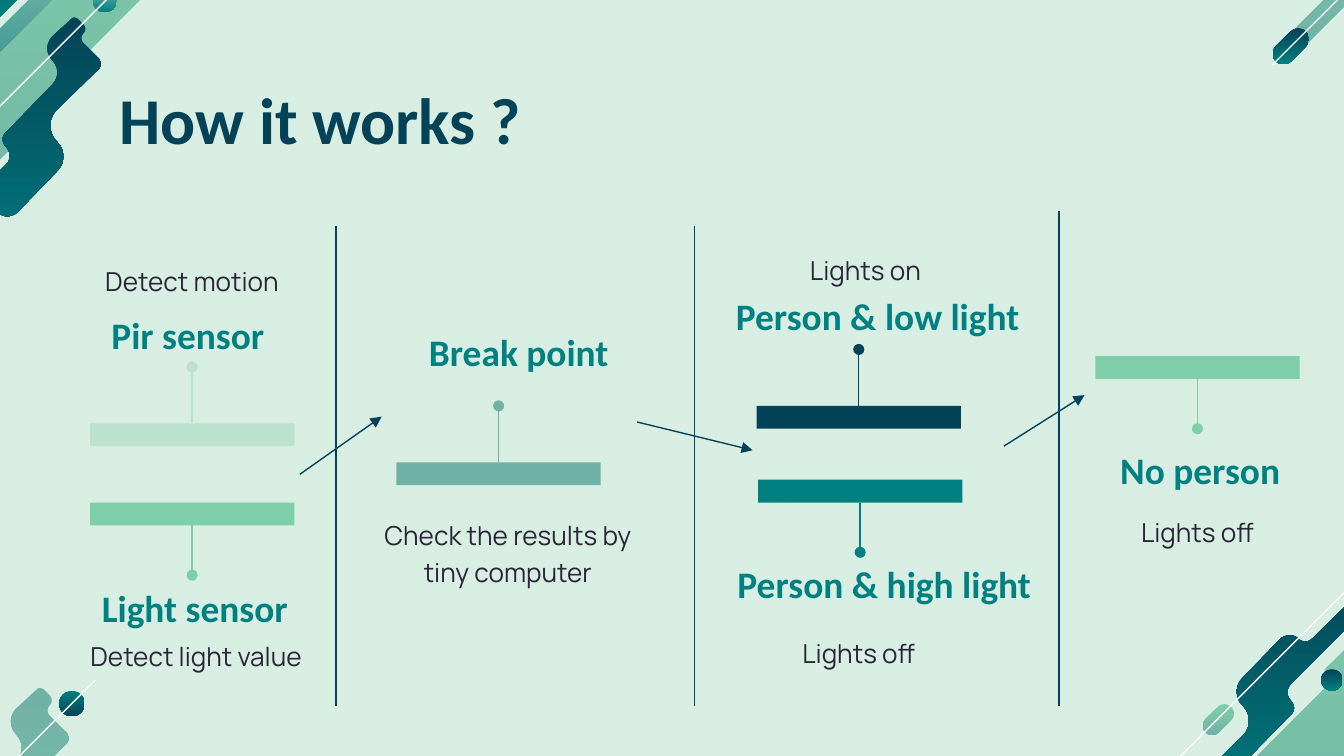
from math import cos, radians, sin

from lxml.etree import SubElement
from pptx import Presentation
from pptx.dml.color import RGBColor
from pptx.enum.shapes import MSO_CONNECTOR as Link, MSO_SHAPE as Shape
from pptx.enum.text import MSO_ANCHOR as Anchor, PP_ALIGN as Align
from pptx.oxml.ns import qn
from pptx.util import Inches, Pt

COLUMNS, ROWS = 100, 56.25  # square cells, a tenth of an inch
NAVY, TEAL, SAGE, MINT, PALE = "044257", "008080", "71B1A5", "7ECFA9", "BBE2CF"
DEEP, SOFT, MIDDLE = (NAVY, TEAL), (MINT, SAGE), (SAGE, TEAL)
BAR_WIDTH, BAR_HEIGHT = 15.2, 1.7

TITLE = {"size": Pt(35), "name": "Calibri", "bold": True, "color": NAVY}
HEADING = {"size": Pt(20), "name": "Calibri", "bold": True, "color": TEAL}
DETAIL = {"size": Pt(14), "name": "Manrope", "color": "292536"}

# Outlines: a pair is a corner, six numbers are a cubic curve
RIBBON = (159, 206), [
    (139, 0), (138, 0, 137, 1, 136, 2), (123, 14), (118, 19, 118, 27, 123, 32),
    (128, 37, 128, 45, 123, 50), (89, 85), (85, 88, 85, 93, 89, 97),
    (92, 100, 92, 106, 89, 109), (3, 195), (0, 198, 0, 202, 3, 204),
    (4, 206, 6, 206, 8, 206), (9, 206, 11, 206, 12, 204), (71, 146),
    (73, 144, 75, 143, 77, 143), (79, 143, 82, 144, 83, 146),
    (85, 147, 87, 148, 89, 148), (92, 148, 94, 147, 96, 146), (126, 115),
    (133, 109, 133, 98, 126, 92), (120, 86, 120, 75, 126, 69), (158, 38),
    (160, 36, 160, 33, 158, 31), (146, 19), (144, 17, 144, 14, 146, 12),
    (148, 10, 148, 7, 146, 5), (143, 2), (142, 1, 141, 0, 139, 0)]
BAND = (261, 293), [
    (53, 196), (56, 199, 56, 205, 53, 208), (28, 233), (25, 235, 25, 240, 28, 243),
    (31, 246, 31, 251, 28, 254), (3, 279), (0, 282, 0, 287, 3, 291),
    (6, 294, 12, 294, 15, 291), (55, 250), (58, 248, 63, 248, 65, 250),
    (68, 253, 73, 253, 75, 250), (147, 179), (149, 177, 149, 173, 147, 171),
    (145, 169, 145, 166, 147, 164), (218, 93), (220, 90, 220, 86, 218, 83),
    (215, 80, 215, 75, 218, 72), (236, 54), (238, 52, 238, 48, 236, 46),
    (233, 43, 233, 39, 236, 37), (258, 15), (261, 12, 261, 7, 258, 4),
    (254, 0, 249, 0, 246, 4), (150, 99), (149, 101, 146, 101, 144, 99),
    (142, 98, 139, 98, 137, 99), (53, 184), (49, 187, 49, 193, 53, 196)]


def cells(*counts):
    return [Inches(count / 10) for count in counts]


def colour(value):
    return RGBColor.from_string(value)


def paint(shape, *colours):
    """Fill with one colour, or blend two from top to bottom."""
    shape.shadow.inherit = False
    shape.line.fill.background()
    if len(colours) == 1:
        shape.fill.solid()
        shape.fill.fore_color.rgb = colour(colours[0])
        return
    shape.fill.gradient()
    shape.fill.gradient_angle = 270
    for stop, position, value in zip(shape.fill.gradient_stops, (0, 1), colours):
        stop.position = position
        stop.color.rgb = colour(value)


def add_outline(page, points, colours):
    corners = [tuple(cells(*point)) for point in points]
    builder = page.shapes.build_freeform(*corners[0], scale=1)
    builder.add_line_segments(corners[1:], close=True)
    paint(builder.convert_to_shape(), *colours)


def flatten(segments, steps=6):
    """Turn corners and cubic curves into a list of points."""
    points = []
    for segment in segments:
        if len(segment) == 2:
            points.append(segment)
            continue
        controls = [points[-1], segment[:2], segment[2:4], segment[4:]]
        for step in range(1, steps + 1):
            t = step / steps
            weights = ((1 - t) ** 3, 3 * t * (1 - t) ** 2, 3 * t * t * (1 - t), t ** 3)
            points.append(tuple(sum(w * c[axis] for w, c in zip(weights, controls))
                                for axis in (0, 1)))
    return points


def add_wave(page, outline, left, top, width, colours, turned=False):
    (full, tall), segments = outline
    scale = width / full
    points = flatten(segments)
    if turned:
        points = [(full - x, tall - y) for x, y in points]
    add_outline(page, [(left + x * scale, top + y * scale) for x, y in points], colours)


def add_capsule(page, x, y, run, radius, colours):
    """Round-ended bar rising at 45 degrees from (x, y)."""
    ends = [(x, y, 45), (x + run, y - run, 225)]
    points = [(cx + radius * cos(radians(first + turn)), cy + radius * sin(radians(first + turn)))
              for cx, cy, first in ends for turn in range(0, 181, 15)]
    add_outline(page, points, colours)


def add_shape(page, kind, left, top, width, height, *colours):
    shape = page.shapes.add_shape(kind, *cells(left, top, width, height))
    paint(shape, *colours)
    return shape


def add_line(page, x1, y1, x2, y2, value=NAVY, end=None):
    line = page.shapes.add_connector(Link.STRAIGHT, *cells(x1, y1, x2, y2))
    line.line.color.rgb = colour(value)
    line.line.width = Pt(0.75)
    SubElement(line.element.spPr, qn("a:effectLst"))
    if end:
        SubElement(line.line._get_or_add_ln(), qn("a:tailEnd"), type=end)
    return line


def add_pin(page, left, top, value, upward):
    """Bar with a dotted stalk above or below its middle."""
    bar = add_shape(page, Shape.RECTANGLE, left, top, BAR_WIDTH, BAR_HEIGHT, value)
    middle = left + BAR_WIDTH / 2
    start, length = (top, -4.2) if upward else (top + BAR_HEIGHT, 3.7)
    stalk = add_line(page, middle, start, middle, start + length, value, "oval")
    stalk.begin_connect(bar, 0 if upward else 2)


def add_text(page, text, left, top, width, height, style, anchor=Anchor.TOP,
             align=Align.CENTER):
    box = page.shapes.add_textbox(*cells(left, top, width, height))
    frame = box.text_frame
    frame_format = {"word_wrap": True, "vertical_anchor": anchor}
    frame_format |= {f"margin_{side}": Inches(0.1)
                     for side in ("left", "top", "right", "bottom")}
    for name, value in frame_format.items():
        setattr(frame, name, value)
    para = frame.paragraphs[0]
    para.alignment = align
    if style is DETAIL:
        para.line_spacing = 1.15
    span = para.add_run()
    span.text = text
    for name, value in style.items():
        if name == "color":
            span.font.color.rgb = colour(value)
        else:
            setattr(span.font, name, value)


def decorate(page):
    add_capsule(page, 96.2, 3.3, 13.6, 0.7, SOFT)
    add_capsule(page, 95.5, 4, 1.1, 0.8, DEEP)
    add_shape(page, Shape.OVAL, 4.4, 51.4, 1.9, 1.9, *reversed(DEEP))
    add_wave(page, RIBBON, -12.1, 51.2, 17.2, SOFT[::-1])
    add_wave(page, BAND, -10.7, -10, 26.1, SOFT)
    add_capsule(page, -0.6, 1.3, 11.2, 0.4, DEEP)
    add_capsule(page, -8.3, 11.3, 12.6, 0.6, MIDDLE)
    add_shape(page, Shape.OVAL, 6.9, -0.8, 1.8, 1.7, *MIDDLE)
    add_wave(page, RIBBON, -8.4, 1.3, 15.9, DEEP)
    add_wave(page, BAND, 88, 39, 24.5, SOFT, turned=True)
    add_capsule(page, 90.2, 54, 0.9, 0.7, SOFT)
    add_shape(page, Shape.OVAL, 98.3, 49.8, 1.6, 1.6, *DEEP)
    add_wave(page, RIBBON, 89.4, 41.8, 15, DEEP, turned=True)
    for x, y, run in [(94.7, 4.8, 28.7), (-7.2, 15.1, 26.6), (82.4, 61.7, 22.8),
                      (-19.5, 77.2, 26.6)]:
        add_line(page, x, y, x + run, y - run, "FFFFFF")


def main():
    deck = Presentation()
    deck.slide_width, deck.slide_height = cells(COLUMNS, ROWS)
    page = deck.slides.add_slide(deck.slide_layouts[6])
    page.background.fill.solid()
    page.background.fill.fore_color.rgb = colour("D8EEE3")
    decorate(page)
    add_text(page, "How it works ?", 7.9, 4.9, 84.3, 6.3, TITLE, align=Align.LEFT)

    for pin in [(6.7, 31.5, PALE, True), (6.7, 37.4, MINT, False), (29.5, 34.4, SAGE, True),
                (56.4, 35.7, TEAL, False), (56.3, 30.2, NAVY, True), (81.5, 26.5, MINT, False)]:
        add_pin(page, *pin)
    for text, left, top, width, anchor in [
            ("Pir sensor ", 2.6, 22.2, 23.4, Anchor.TOP),
            ("Light sensor", 2.8, 42.9, 23.4, Anchor.BOTTOM),
            ("Break point", 26.9, 23.5, 23.4, Anchor.TOP),
            ("Person & low light", 50.7, 20.8, 29.2, Anchor.TOP),
            ("Person & high light", 49.6, 41.1, 32.4, Anchor.BOTTOM),
            ("No person", 74.7, 32.3, 29.2, Anchor.TOP)]:
        add_text(page, text, left, top, width, 5, HEADING, anchor)
    for text, left, top, anchor in [
            ("Detect motion", 2.6, 16.8, Anchor.BOTTOM),
            ("Detect light value", 2.9, 46.3, Anchor.TOP),
            ("Check the results by tiny computer", 26.1, 38.4, Anchor.BOTTOM),
            ("Lights on", 52.7, 16, Anchor.BOTTOM),
            ("Lights off", 52.2, 46.1, Anchor.TOP),
            ("Lights off", 77.4, 37.1, Anchor.TOP)]:
        add_text(page, text, left, top, 23.4, 6.3, DETAIL, anchor)

    for x, top in [(25, 16.8), (51.7, 16.8), (78.8, 15.7)]:
        add_line(page, x, top, x, 52.5)
    for ends in [(22.3, 35.3, 28.4, 31), (47.4, 31.4, 56, 33.5), (74.7, 33.2, 80.7, 29.4)]:
        add_line(page, *ends, end="triangle")
    deck.save("out.pptx")


if __name__ == "__main__":
    main()
